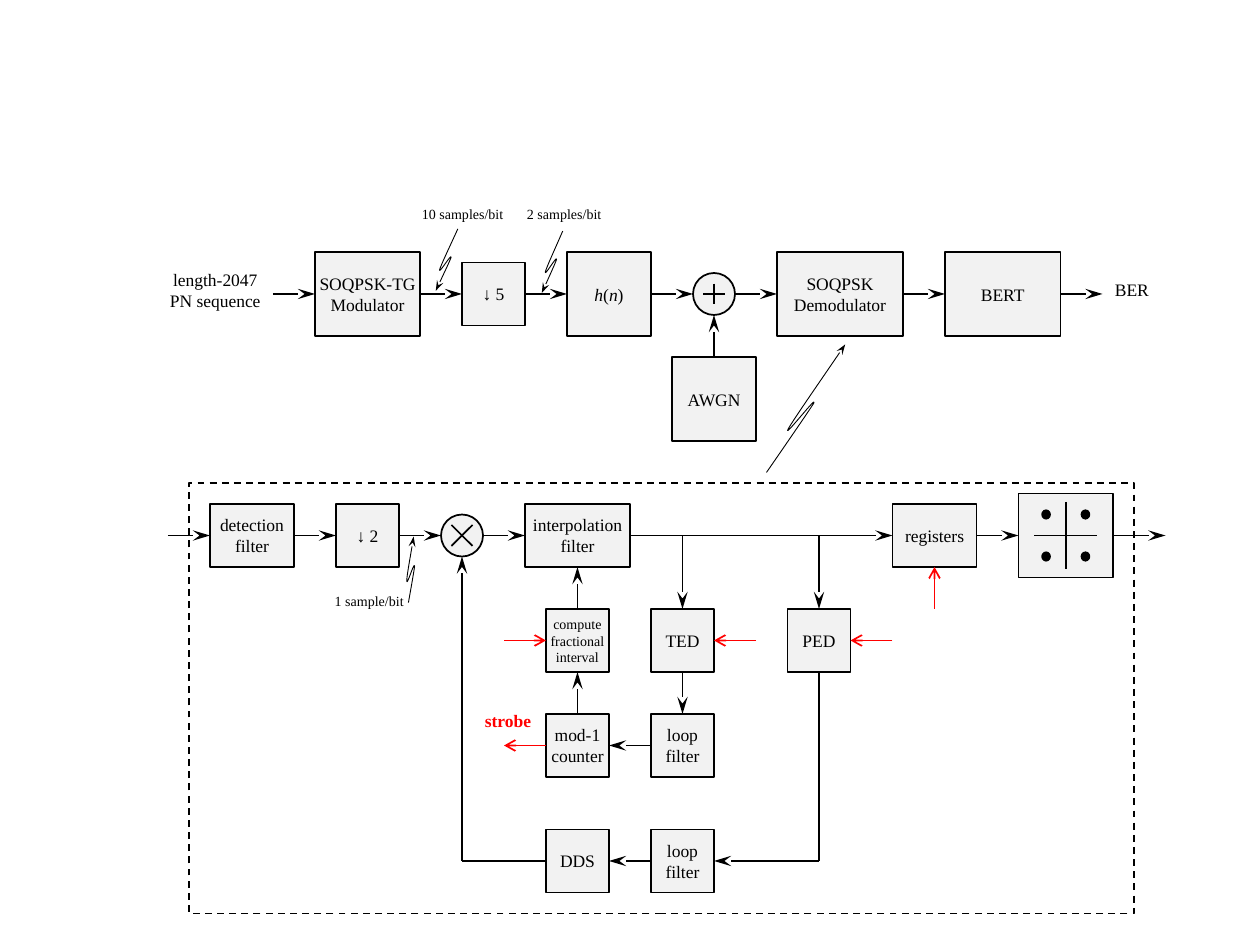
from lxml import etree
from pptx import Presentation
from pptx import util as u
from pptx.dml.color import RGBColor
from pptx.enum import dml, shapes, text
from pptx.oxml.ns import qn

BLACK, RED, GREY = "000000", "FF0000", "F2F2F2"
TOP, LEFT, BOTTOM, RIGHT = range(4)
CELL = 2.54 / 12  # the diagram sits on a grid of 12 cells to the inch
RECTANGLE = shapes.MSO_SHAPE.RECTANGLE
OVAL = shapes.MSO_SHAPE.OVAL
# Squiggle control points: share of the length, share of the amplitude
SQUIGGLE = [(0.31, 0.45), (0.61, 1), (0.68, 0.9), (0.75, 0.7), (0.38, -0.6),
            (0.44, -0.85), (0.48, -0.9), (1, 0), (1, 0)]


def grid(cells):
    return u.Cm(cells * CELL)


def color(hex_code):
    return RGBColor.from_string(hex_code)


class Diagram:
    def __init__(self, slide, font="Times New Roman", size=10):
        self.slide = slide
        self.font = font
        self.size = size

    def outline(self, shape, line_color=BLACK, width=1):
        shape.line.color.rgb = color(line_color)
        shape.line.width = u.Pt(width)

    def tip(self, shape, end, kind, width="med", length="med"):
        """Put an arrowhead on headEnd or tailEnd of a line."""
        line = shape.line._get_or_add_ln()
        etree.SubElement(line, qn(f"a:{end}"), type=kind, w=width, len=length)

    def format_text(self, shape, size, text_color, bold=None, align=None):
        for paragraph in shape.text_frame.paragraphs:
            paragraph.alignment = align
            for run in paragraph.runs:
                run.font.name = self.font
                run.font.size = u.Pt(size or self.size)
                run.font.color.rgb = color(text_color)
                run.font.bold = bold

    def shape(self, kind, left, top, width, height, fill=GREY):
        shape = self.slide.shapes.add_shape(
            kind, grid(left), grid(top), grid(width), grid(height))
        shape.shadow.inherit = False
        if fill:
            shape.fill.solid()
            shape.fill.fore_color.rgb = color(fill)
        else:
            shape.fill.background()
        self.outline(shape)
        return shape

    def block(self, label, left, top, width=6, height=6, size=None):
        """Draw a labelled block; a list label gives (text, italic) runs."""
        shape = self.shape(RECTANGLE, left, top, width, height)
        frame = shape.text_frame
        frame.word_wrap = True
        frame.vertical_anchor = text.MSO_ANCHOR.MIDDLE
        frame.margin_left = frame.margin_right = 0
        if isinstance(label, list):
            for words, italic in label:
                run = frame.paragraphs[0].add_run()
                run.text = words
                run.font.italic = italic
        else:
            frame.text = label
        self.format_text(shape, size, BLACK, align=text.PP_ALIGN.CENTER)
        return shape

    def note(self, words, left, top, width, height, size=None,
             text_color=BLACK, bold=None, wrap=False, align=None):
        shape = self.slide.shapes.add_textbox(
            grid(left), grid(top), grid(width), grid(height))
        shape.text_frame.word_wrap = wrap
        shape.text_frame.auto_size = text.MSO_AUTO_SIZE.SHAPE_TO_FIT_TEXT
        shape.text_frame.text = words
        self.format_text(shape, size, text_color, bold, align)

    def locate(self, end):
        """Turn a grid point or a (shape, side) pair into a position."""
        target, side = end
        if isinstance(target, (int, float)):
            return grid(target), grid(side)
        across = {LEFT: 0, RIGHT: 2}.get(side, 1)
        down = {TOP: 0, BOTTOM: 2}.get(side, 1)
        return (target.left + target.width * across // 2,
                target.top + target.height * down // 2)

    def line(self, start, end, line_color=BLACK):
        connector = self.slide.shapes.add_connector(
            shapes.MSO_CONNECTOR.STRAIGHT, *self.locate(start), *self.locate(end))
        for (target, side), join in ((start, connector.begin_connect),
                                     (end, connector.end_connect)):
            if getattr(target, "auto_shape_type", None) == RECTANGLE:
                join(target, side)
        self.outline(connector, line_color)
        etree.SubElement(connector._element.spPr, qn("a:effectLst"))
        return connector

    def arrow(self, start, end):
        self.tip(self.line(start, end), "tailEnd", "stealth", length="lg")

    def strobe_arrow(self, start, end):
        self.tip(self.line(start, end, RED), "tailEnd", "arrow")

    def flow(self, *blocks):
        """Join blocks from left to right."""
        for before, after in zip(blocks, blocks[1:]):
            self.arrow((before, RIGHT), (after, LEFT))

    def group(self, *members):
        self.slide.shapes.add_group_shape(shapes=members)

    def node(self, left, top, strokes):
        """Draw a round operator with its strokes, given from its corner."""
        circle = self.shape(OVAL, left, top, 4, 4)
        lines = [self.line((left + x1, top + y1), (left + x2, top + y2))
                 for x1, y1, x2, y2 in strokes]
        self.group(circle, *lines)
        return circle

    def squiggle(self, start, end, end_name, amplitude=0.36):
        """Draw a curved pointer with a zigzag in its middle."""
        run, rise = end[0] - start[0], end[1] - start[1]
        length = (run ** 2 + rise ** 2) ** 0.5
        points = [(start[0] + run * along - rise / length * amplitude * aside,
                   start[1] + rise * along + run / length * amplitude * aside)
                  for along, aside in SQUIGGLE]
        builder = self.slide.shapes.build_freeform(grid(start[0]), grid(start[1]))
        builder.add_line_segments([(grid(x), grid(y)) for x, y in points], close=False)
        shape = builder.convert_to_shape()
        curve = shape._element.find(f".//{qn('a:path')}")
        segments = curve.findall(qn("a:lnTo"))
        for first in range(0, len(segments), 3):
            bezier = etree.SubElement(curve, qn("a:cubicBezTo"))
            for segment in segments[first:first + 3]:
                bezier.append(segment[0])
                curve.remove(segment)
        shape.shadow.inherit = False
        shape.fill.background()
        self.outline(shape, width=0.5)
        self.tip(shape, end_name, "stealth", width="sm")


def draw_link(diagram):
    """Draw the upper row: modulator, channel and demodulator."""
    modulator = diagram.block("SOQPSK-TG\nModulator", 30, 24, 10, 8)
    decimator = diagram.block("↓ 5", 44, 25)
    channel = diagram.block(
        [("h", True), ("(", False), ("n", True), (")", False)], 54, 24, 8, 8)
    adder = diagram.node(66, 26, [(1, 2, 3, 2), (2, 1, 2, 3)])
    noise = diagram.block("AWGN", 64, 34, 8, 8)
    demodulator = diagram.block("SOQPSK\nDemodulator", 74, 24, 12, 8)
    tester = diagram.block("BERT", 90, 24, 11, 8)
    diagram.arrow((26, 28), (modulator, LEFT))
    diagram.flow(modulator, decimator, channel, adder, demodulator, tester)
    diagram.arrow((tester, RIGHT), (105, 28))
    diagram.arrow((noise, TOP), (adder, BOTTOM))
    diagram.note("length-2047 PN sequence", 15, 25, 11, 5.25, wrap=True,
                 align=text.PP_ALIGN.CENTER)
    diagram.note("BER", 105, 26, 5.75, 3.25)


def draw_demodulator(diagram):
    """Draw the dashed detail with its timing and phase loops."""
    detection = diagram.block("detection filter", 20, 48, 8)
    decimator = diagram.block("↓ 2", 32, 48)
    mixer = diagram.node(42, 49, [(1, 1, 3, 3), (3, 1, 1, 3)])
    interpolation = diagram.block("interpolation filter", 50, 48, 10)
    registers = diagram.block("registers", 85, 48, 8)
    interval = diagram.block("compute\nfractional\ninterval", 52, 58, size=8)
    timing = diagram.block("TED", 62, 58)
    phase = diagram.block("PED", 75, 58)
    counter = diagram.block("mod-1\ncounter", 52, 68)
    timing_filter = diagram.block("loop\nfilter", 62, 68)
    synthesizer = diagram.block("DDS", 52, 79)
    phase_filter = diagram.block("loop\nfilter", 62, 79)

    decision = diagram.shape(RECTANGLE, 97, 47, 9, 8)
    axes = [diagram.line((101.5, 47.8), (101.5, 54.2)),
            diagram.line((98.5, 51), (104.5, 51))]
    dots = [diagram.shape(OVAL, x, y, 0.75, 0.8, BLACK)
            for x in (99.25, 103) for y in (48.6, 52.6)]
    diagram.group(decision, *axes, *dots)

    diagram.arrow((16, 51), (detection, LEFT))
    diagram.flow(detection, decimator, mixer, interpolation, registers, decision)
    diagram.arrow((decision, RIGHT), (111, 51))
    diagram.arrow((65, 51), (timing, TOP))
    diagram.arrow((timing, BOTTOM), (timing_filter, TOP))
    diagram.arrow((timing_filter, LEFT), (counter, RIGHT))
    diagram.arrow((counter, TOP), (interval, BOTTOM))
    diagram.arrow((interval, TOP), (interpolation, BOTTOM))
    diagram.arrow((78, 51), (phase, TOP))
    diagram.line((phase, BOTTOM), (78, 82))
    diagram.arrow((78, 82), (phase_filter, RIGHT))
    diagram.arrow((phase_filter, LEFT), (synthesizer, RIGHT))
    diagram.line((44, 82), (synthesizer, LEFT))
    diagram.arrow((44, 82), (mixer, BOTTOM))

    diagram.strobe_arrow((counter, LEFT), (48, 71))
    diagram.strobe_arrow((48, 61), (interval, LEFT))
    diagram.strobe_arrow((72, 61), (timing, RIGHT))
    diagram.strobe_arrow((85, 61), (phase, RIGHT))
    diagram.strobe_arrow((89, 58), (registers, BOTTOM))
    diagram.note("strobe", 45, 67, 6.85, 3.25, text_color=RED, bold=True)

    frame = diagram.shape(RECTANGLE, 18, 46, 90, 41, fill=None)
    frame.line.dash_style = dml.MSO_LINE.DASH


def draw_pointers(diagram):
    diagram.note("10 samples/bit", 39, 19, 10.3, 2.85, size=8)
    diagram.note("2 samples/bit", 49, 19, 9.7, 2.85, size=8)
    diagram.note("1 sample/bit", 30.7, 55.8, 9.1, 2.85, size=8)
    diagram.squiggle((43.6, 21.8), (41.5, 27.7), "tailEnd")
    diagram.squiggle((53.6, 22), (51.6, 27.9), "tailEnd")
    diagram.squiggle((39.4, 51.1), (38.9, 57.4), "headEnd")
    diagram.squiggle((80.5, 32.8), (73, 45), "headEnd", amplitude=0.45)


def main():
    presentation = Presentation()
    presentation.slide_width, presentation.slide_height = u.Cm(25.4), u.Cm(19.05)
    slide = presentation.slides.add_slide(presentation.slide_layouts[6])
    diagram = Diagram(slide)
    draw_link(diagram)
    draw_demodulator(diagram)
    draw_pointers(diagram)
    presentation.save("out.pptx")


if __name__ == "__main__":
    main()
